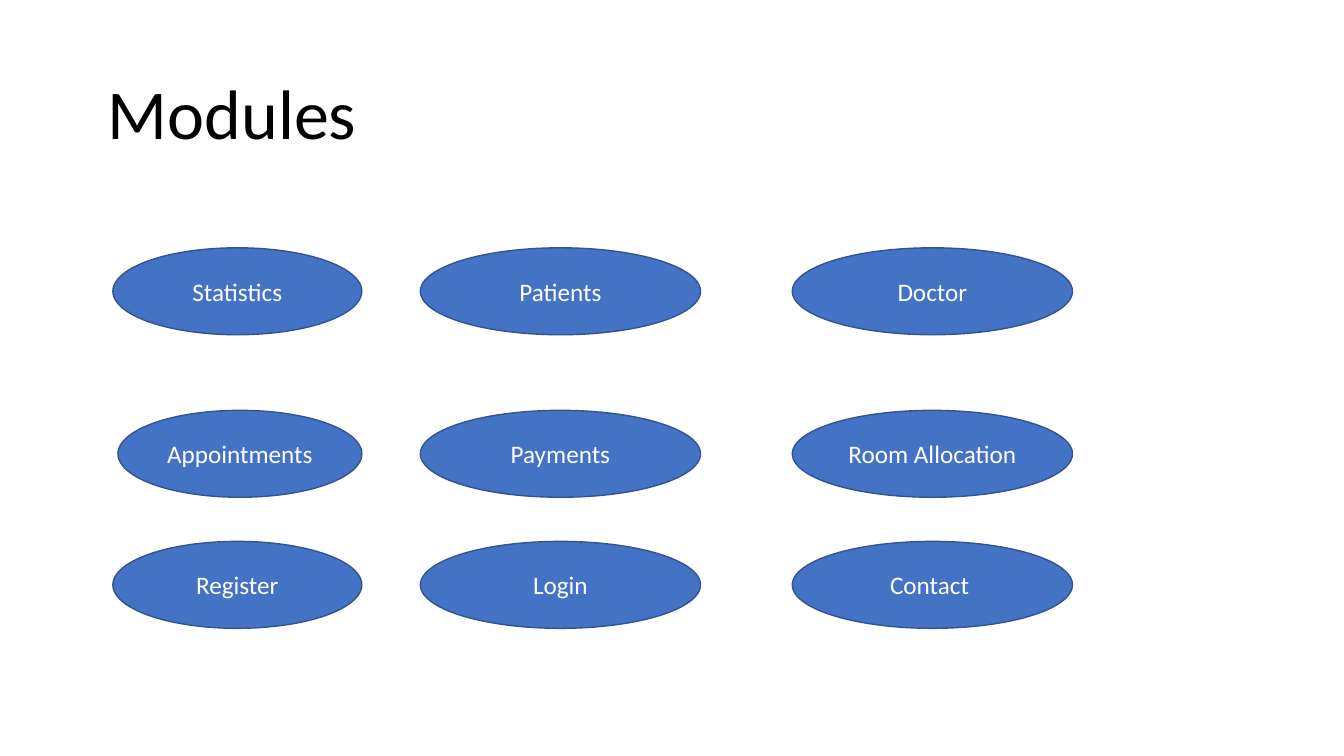
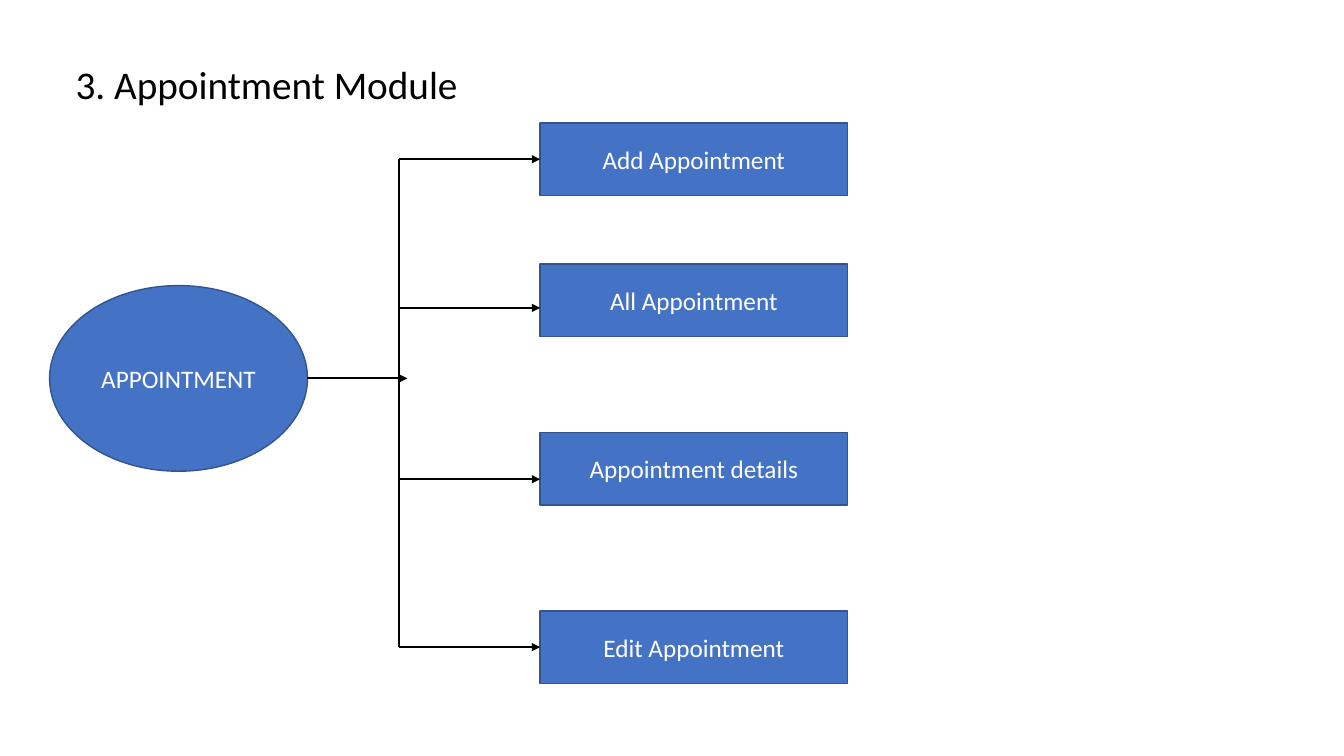
import pptx
import pptx.util
import pptx.dml.color
import pptx.enum.shapes
import pptx.enum.text
import pptx.oxml.ns
import lxml.etree

COLORS = {"fill": "4472C4", "outline": "325491", "light": "FFFFFF", "dark": "000000"}
FONT = "Calibri"
COLUMNS, ROWS = 160, 90
SHAPES = pptx.enum.shapes.MSO_SHAPE
ALIGN = pptx.enum.text.PP_ALIGN
ANCHOR = pptx.enum.text.MSO_ANCHOR


def color(name):
    return pptx.dml.color.RGBColor.from_string(COLORS[name])


class Deck:
    """Shared style and the current slide; lengths are grid columns and rows."""

    def __init__(self):
        self.presentation = pptx.Presentation()
        self.presentation.slide_width = pptx.util.Inches(13.33)
        self.presentation.slide_height = pptx.util.Inches(7.5)
        self.slide = None

    def x(self, columns):
        return round(self.presentation.slide_width * columns / COLUMNS)

    def y(self, rows):
        return round(self.presentation.slide_height * rows / ROWS)

    def add_text(self, shape, text, size, ink, align, anchor):
        frame = shape.text_frame
        frame.word_wrap = True
        frame.auto_size = pptx.enum.text.MSO_AUTO_SIZE.NONE
        frame.vertical_anchor = anchor
        paragraph = frame.paragraphs[0]
        paragraph.alignment = align
        run = paragraph.add_run()
        run.text = text
        run.font.name = FONT
        run.font.size = pptx.util.Pt(size)
        run.font.color.rgb = color(ink)
        return paragraph

    def add_slide(self, title, size, left, top, width, height, spacing=1.0):
        layout = self.presentation.slide_layouts[5]
        self.slide = self.presentation.slides.add_slide(layout)
        shape = self.slide.shapes.title
        shape.left, shape.top = self.x(left), self.y(top)
        shape.width, shape.height = self.x(width), self.y(height)
        paragraph = self.add_text(shape, title, size, "dark", ALIGN.LEFT, ANCHOR.TOP)
        paragraph.line_spacing = spacing

    def node(self, kind, text, left, top, width, height):
        shape = self.slide.shapes.add_shape(
            kind, self.x(left), self.y(top), self.x(width), self.y(height))
        shape.shadow.inherit = False
        shape.fill.solid()
        shape.fill.fore_color.rgb = color("fill")
        shape.line.color.rgb = color("outline")
        shape.line.width = pptx.util.Pt(1)
        self.add_text(shape, text, 18, "light", ALIGN.CENTER, ANCHOR.MIDDLE)

    def line(self, start, end, arrow=True):
        connector = self.slide.shapes.add_connector(
            pptx.enum.shapes.MSO_CONNECTOR.STRAIGHT,
            self.x(start[0]), self.y(start[1]), self.x(end[0]), self.y(end[1]))
        connector.line.color.rgb = color("dark")
        connector.line.width = pptx.util.Pt(1.5)
        qualified = pptx.oxml.ns.qn
        properties = connector._element.spPr
        if arrow:
            outline = properties.find(qualified("a:ln"))
            lxml.etree.SubElement(outline, qualified("a:tailEnd"), type="triangle")
        lxml.etree.SubElement(properties, qualified("a:effectLst"))


def add_modules(deck):
    deck.add_slide("Modules", 50, 11.64, 7.68, 37.44, 11.28)
    # Left and right edge of each column, top of each row
    columns = [(13.44, 43.08), (50.04, 83.4), (94.32, 127.68)]
    rows = [
        (29.5, ["Statistics", "Patients", "Doctor"]),
        (48.85, ["Appointments", "Payments", "Room Allocation"]),
        (64.45, ["Register", "Login", "Contact "]),
    ]
    for top, names in rows:
        for name, (left, right) in zip(names, columns):
            if name == "Appointments":
                left += 0.6  # slightly narrower ellipse
            deck.node(SHAPES.OVAL, name, left, top, right - left, 10.35)


def add_appointment(deck):
    deck.add_slide("3. Appointment Module", 28, 7.8, 7.2, 49.92, 7.44, spacing=0.9)
    # Root of the tree
    deck.node(SHAPES.OVAL, "APPOINTMENT", 5.9, 34, 30.7, 22.1)
    # Branches: label, top of the box, height of its arrow
    trunk, box_left = 47.45, 64.3
    branches = [
        ("Add Appointment", 14.64, 18.96),
        ("All Appointment", 31.44, 36.66),
        ("Appointment details", 51.48, 57.06),
        ("Edit Appointment", 72.72, 77.04),
    ]
    for label, top, arrow_row in branches:
        deck.node(SHAPES.RECTANGLE, label, box_left, top, 36.6, 8.64)
        deck.line((trunk, arrow_row), (box_left, arrow_row))
    # Trunk and the arrow that leads to it
    deck.line((36.6, 45.05), (48.5, 45.05))
    deck.line((trunk, branches[0][2]), (trunk, branches[-1][2]), arrow=False)


def main():
    deck = Deck()
    add_modules(deck)
    add_appointment(deck)
    deck.presentation.save("out.pptx")


if __name__ == "__main__":
    main()
